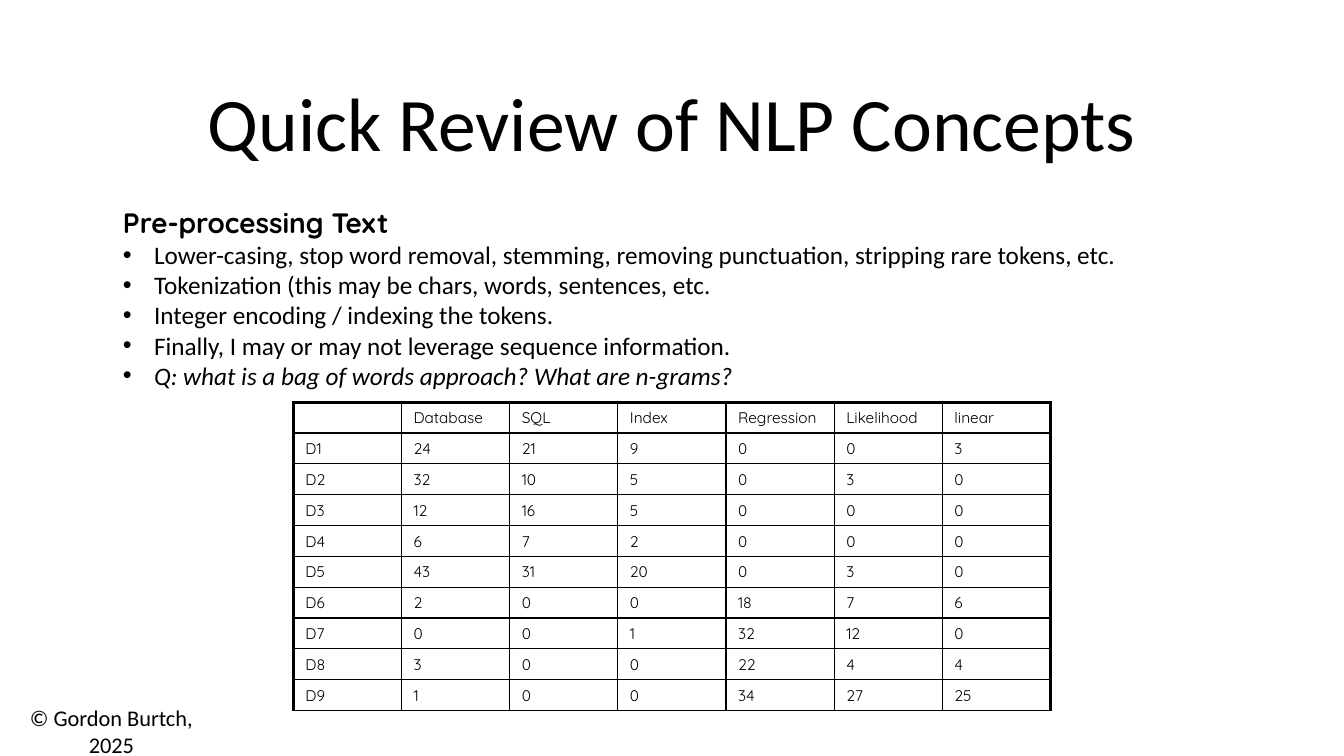
from lxml import etree
from pptx import Presentation
from pptx.dml.color import RGBColor
from pptx.enum.text import PP_ALIGN
from pptx.oxml.ns import qn
from pptx.util import Inches, Pt

LEFT, CENTER = PP_ALIGN.LEFT, PP_ALIGN.CENTER
COLORS = {"ink": "000000"}
BODY, ACCENT = "Calibri", "Quicksand"
THIN, THICK = 1, 2.25

BULLETS = [
    "Lower-casing, stop word removal, stemming, removing punctuation, stripping rare tokens, etc.",
    "Tokenization (this may be chars, words, sentences, etc.",
    "Integer encoding / indexing the tokens.",
    "Finally, I may or may not leverage sequence information.",
]
QUESTION = "Q: what is a bag of words approach? What are n-grams?"

TERMS = ["", "Database", "SQL", "Index", "Regression", "Likelihood", "linear"]
COUNTS = [
    [24, 21, 9, 0, 0, 3],
    [32, 10, 5, 0, 3, 0],
    [12, 16, 5, 0, 0, 0],
    [6, 7, 2, 0, 0, 0],
    [43, 31, 20, 0, 3, 0],
    [2, 0, 0, 18, 7, 6],
    [0, 0, 1, 32, 12, 0],
    [3, 0, 0, 22, 4, 4],
    [1, 0, 0, 34, 27, 25],
]


def add_run(para, text, size, font=BODY, bold=False, italic=False):
    run = para.add_run()
    run.text = text
    face = run.font
    face.name, face.size = font, Pt(size)
    face.bold, face.italic = bold, italic
    face.color.rgb = RGBColor.from_string(COLORS["ink"])


def add_box(slide, left, top, width, height, align=LEFT):
    """Add a wrapping text box and return its frame."""
    box = slide.shapes.add_textbox(
        Inches(left), Inches(top), Inches(width), Inches(height))
    frame = box.text_frame
    frame.word_wrap = True
    frame.paragraphs[0].alignment = align
    return frame


def add_bullet(frame, text, italic=False):
    para = frame.add_paragraph()
    props = para._p.get_or_add_pPr()
    indent = Inches(0.31)
    props.set("marL", str(indent))
    props.set("indent", str(-indent))
    etree.SubElement(props, qn("a:buFont"), typeface="Arial")
    etree.SubElement(props, qn("a:buChar"), char="•")
    add_run(para, text, 18, italic=italic)


def set_border(cell, side, width):
    props = cell._tc.get_or_add_tcPr()
    line = etree.SubElement(props, qn("a:ln" + side), w=str(Pt(width)))
    fill = etree.SubElement(line, qn("a:solidFill"))
    etree.SubElement(fill, qn("a:srgbClr"), val=COLORS["ink"])


def fill_cell(cell, text, widths):
    cell.margin_left = cell.margin_right = Inches(0.12)
    cell.margin_top = cell.margin_bottom = Inches(0.06)
    para = cell.text_frame.paragraphs[0]
    if text:
        add_run(para, text, 11, ACCENT)
    else:
        # Keep the empty cell from stretching its row
        etree.SubElement(para._p, qn("a:endParaRPr"), sz="1100")
    for side, width in widths.items():
        set_border(cell, side, width)
    cell.fill.background()


def add_matrix(slide, rows, left, top, width, height):
    """Add the term counts, with a thick left, right and top edge."""
    last = len(rows[0]) - 1
    frame = slide.shapes.add_table(
        len(rows), last + 1,
        Inches(left), Inches(top), Inches(width), Inches(height))
    table = frame.table
    table.first_row = table.horz_banding = False
    for r, row in enumerate(rows):
        for c, text in enumerate(row):
            fill_cell(table.cell(r, c), text, {
                "L": THICK if c == 0 else THIN,
                "R": THICK if c == last else THIN,
                "T": THICK if r == 0 else THIN,
                "B": THIN,
            })


def main():
    deck = Presentation()
    deck.slide_width, deck.slide_height = Inches(13.33), Inches(7.5)
    slide = deck.slides.add_slide(deck.slide_layouts[6])

    # Footer
    foot = add_box(slide, 0.18, 6.94, 1.85, 0.37, CENTER)
    add_run(foot.paragraphs[0], "© Gordon Burtch, 2025", 16)

    # Title
    title = add_box(slide, 1.45, 0.7, 10.43, 1.01, CENTER)
    add_run(title.paragraphs[0], "Quick Review of NLP Concepts", 54)

    # Steps
    steps = add_box(slide, 1.12, 1.99, 10.32, 1.95)
    add_run(steps.paragraphs[0], "Pre-processing Text", 20, ACCENT, bold=True)
    for text in BULLETS:
        add_bullet(steps, text)
    add_bullet(steps, QUESTION, italic=True)

    # Document-term matrix
    rows = [TERMS] + [
        [f"D{n}"] + [str(count) for count in counts]
        for n, counts in enumerate(COUNTS, 1)]
    add_matrix(slide, rows, 2.91, 3.99, 7.51, 3.06)

    deck.save("out.pptx")


if __name__ == "__main__":
    main()
